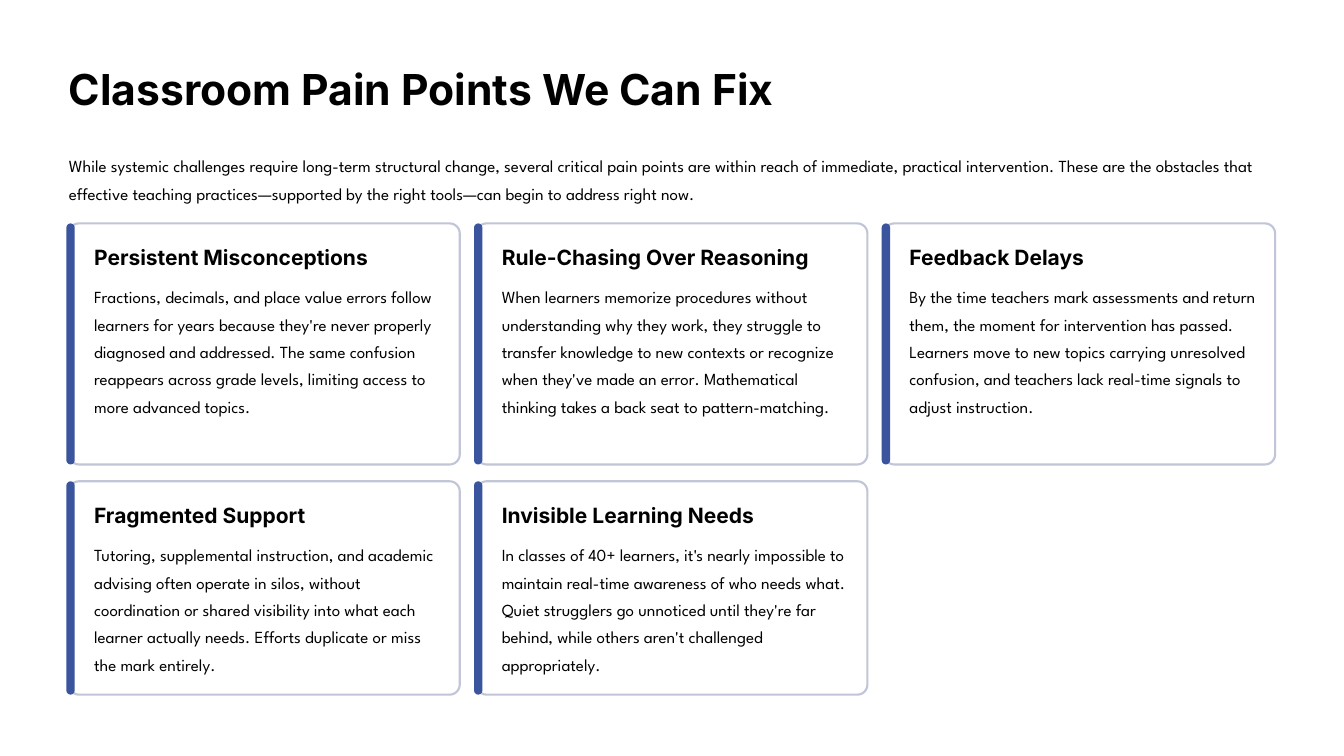
"""Build the slide of classroom pain points as a grid of accented cards."""
from pptx import Presentation
from pptx.dml.color import RGBColor
from pptx.enum.shapes import MSO_SHAPE as Shape
from pptx.enum.text import MSO_ANCHOR as Anchor, MSO_AUTO_SIZE as AutoSize, PP_ALIGN as Align
from pptx.util import Inches, Pt

TITLE = "Classroom Pain Points We Can Fix"
INTRO = (
    "While systemic challenges require long-term structural change, several critical pain points "
    "are within reach of immediate, practical intervention. These are the obstacles that effective "
    "teaching practices—supported by the right tools—can begin to address right now."
)
CARDS = [
    ("Persistent Misconceptions",
     "Fractions, decimals, and place value errors follow learners for years because they're never "
     "properly diagnosed and addressed. The same confusion reappears across grade levels, limiting "
     "access to more advanced topics."),
    ("Rule-Chasing Over Reasoning",
     "When learners memorize procedures without understanding why they work, they struggle to "
     "transfer knowledge to new contexts or recognize when they've made an error. Mathematical "
     "thinking takes a back seat to pattern-matching."),
    ("Feedback Delays",
     "By the time teachers mark assessments and return them, the moment for intervention has "
     "passed. Learners move to new topics carrying unresolved confusion, and teachers lack "
     "real-time signals to adjust instruction."),
    ("Fragmented Support",
     "Tutoring, supplemental instruction, and academic advising often operate in silos, without "
     "coordination or shared visibility into what each learner actually needs. Efforts duplicate "
     "or miss the mark entirely."),
    ("Invisible Learning Needs",
     "In classes of 40+ learners, it's nearly impossible to maintain real-time awareness of who "
     "needs what. Quiet strugglers go unnoticed until they're far behind, while others aren't "
     "challenged appropriately."),
]

WIDTH, HEIGHT = 16, 9
MARGIN = 0.82
CONTENT_WIDTH = WIDTH - 2 * MARGIN
COLUMNS = 3
GAP = 0.2
CARD_WIDTH = (CONTENT_WIDTH - (COLUMNS - 1) * GAP) / COLUMNS
GRID_TOP = 2.66
ROW_HEIGHTS = [2.87, 2.54]
CORNER = 0.12
ACCENT_WIDTH, ACCENT_OVERHANG = 0.1, 0.03
PADDING_X, HEADING_Y, BODY_Y = 0.3, 0.23, 0.67
HEADING_HEIGHT, BODY_WIDTH, BODY_BOTTOM = 0.32, 4.12, 0.23

STYLES = {
    "title": ({"name": "Inter", "size": Pt(36.5), "bold": True}, 46),
    "heading": ({"name": "Inter", "size": Pt(18), "bold": True}, 23),
    "body": ({"name": "League Spartan", "size": Pt(14.5), "bold": False}, 23.5),
}
FRAME = {
    "margin_left": 0, "margin_right": 0, "margin_top": 0, "margin_bottom": 0,
    "auto_size": AutoSize.NONE, "vertical_anchor": Anchor.TOP,
}


def color(target, value):
    target.rgb = RGBColor.from_string(value)


def assign(target, values):
    for name, value in values.items():
        setattr(target, name, value)


def write(shape, text, style, wrap=True):
    font_values, line_spacing = STYLES[style]
    frame = shape.text_frame
    frame.text = text
    assign(frame, {**FRAME, "word_wrap": wrap})
    paragraph = frame.paragraphs[0]
    assign(paragraph, {"alignment": Align.LEFT, "line_spacing": Pt(line_spacing),
                       "space_before": Pt(0)})
    assign(paragraph.font, font_values)
    color(paragraph.font.color, "000000")


def add_text(slide, box, text, style, wrap=True):
    write(slide.shapes.add_textbox(*map(Inches, box)), text, style, wrap)


def add_panel(slide, box, fill, rounding, line=None):
    shape = slide.shapes.add_shape(Shape.ROUNDED_RECTANGLE, *map(Inches, box))
    shape.shadow.inherit = False
    shape.adjustments[0] = rounding
    shape.fill.solid()
    color(shape.fill.fore_color, fill)
    if line:
        color(shape.line.color, line)
        shape.line.width = Pt(1.8)
    else:
        shape.line.fill.background()


def add_card(slide, index, heading, body):
    row, column = divmod(index, COLUMNS)
    height = ROW_HEIGHTS[row]
    left = MARGIN + column * (CARD_WIDTH + GAP)
    top = GRID_TOP + sum(ROW_HEIGHTS[:row]) + row * GAP
    text_left = left + PADDING_X
    add_panel(slide, (left, top, CARD_WIDTH, height), "FFFFFF", CORNER / height, "C0C6D7")
    add_panel(slide, (left - ACCENT_OVERHANG, top, ACCENT_WIDTH, height), "3A549E", 0.5)
    add_text(slide, (text_left, top + HEADING_Y, BODY_WIDTH, HEADING_HEIGHT),
             heading, "heading", wrap=False)
    add_text(slide, (text_left, top + BODY_Y, BODY_WIDTH, height - BODY_Y - BODY_BOTTOM),
             body, "body")


def main():
    presentation = Presentation()
    assign(presentation, {"slide_width": Inches(WIDTH), "slide_height": Inches(HEIGHT)})
    slide = presentation.slides.add_slide(presentation.slide_layouts[5])
    slide.background.fill.solid()
    color(slide.background.fill.fore_color, "FFFFFF")
    title = slide.shapes.title
    assign(title, {"left": Inches(MARGIN), "top": Inches(0.72),
                   "width": Inches(8.48), "height": Inches(0.64)})
    write(title, TITLE, "title", wrap=False)
    add_text(slide, (MARGIN, 1.77, CONTENT_WIDTH, 0.66), INTRO, "body")
    for index, (heading, body) in enumerate(CARDS):
        add_card(slide, index, heading, body)
    presentation.save("out.pptx")


if __name__ == "__main__":
    main()
